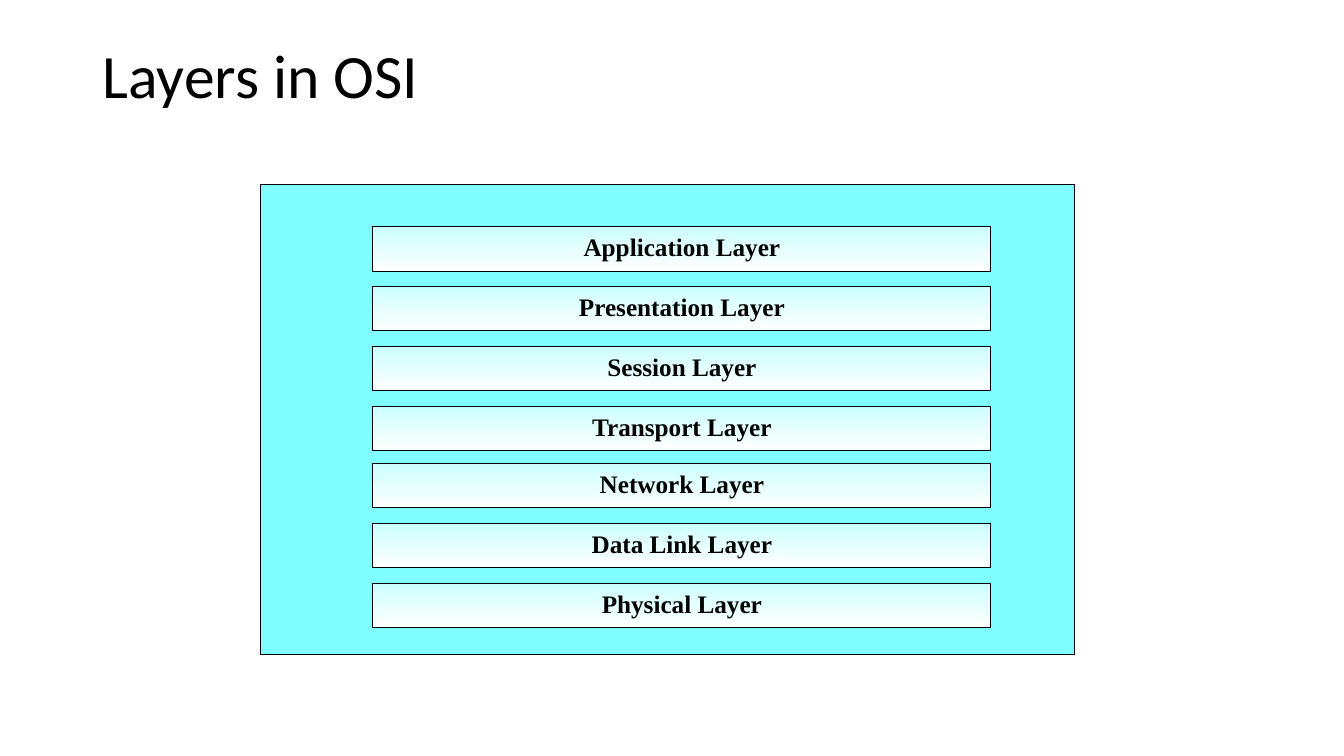
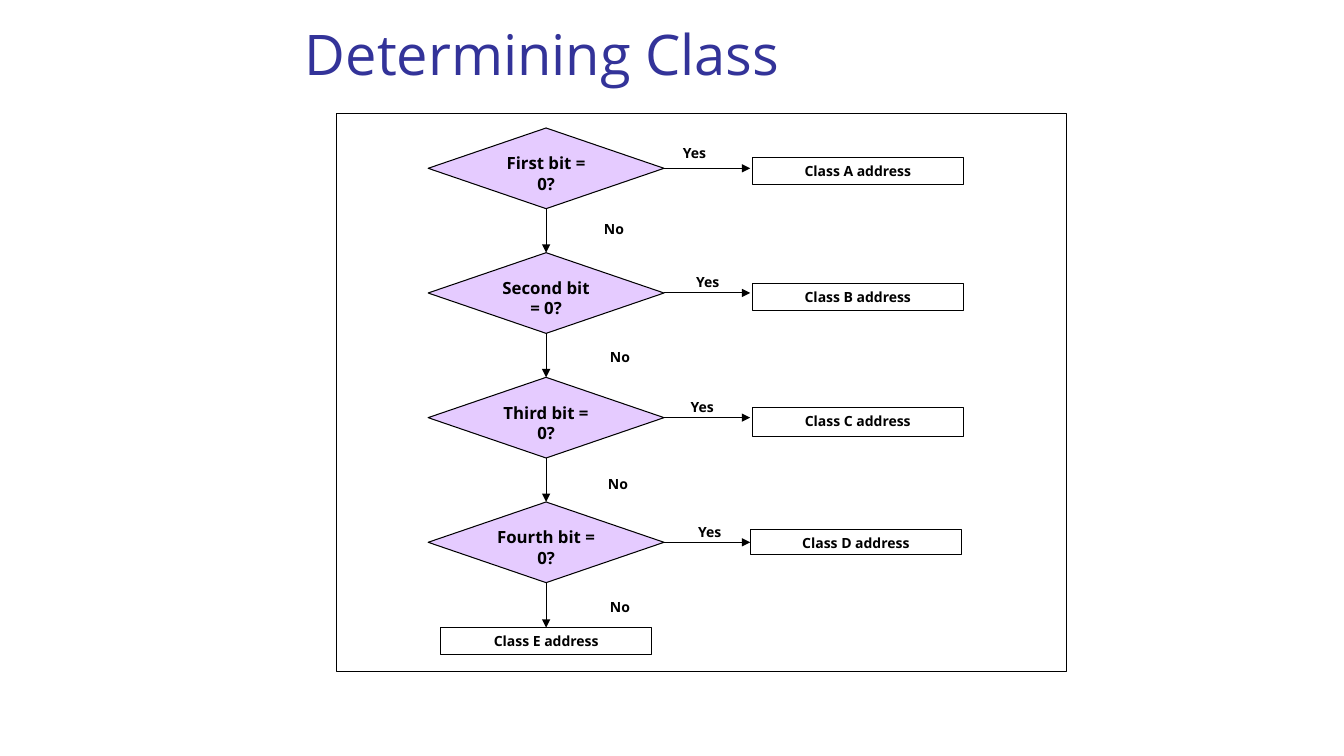
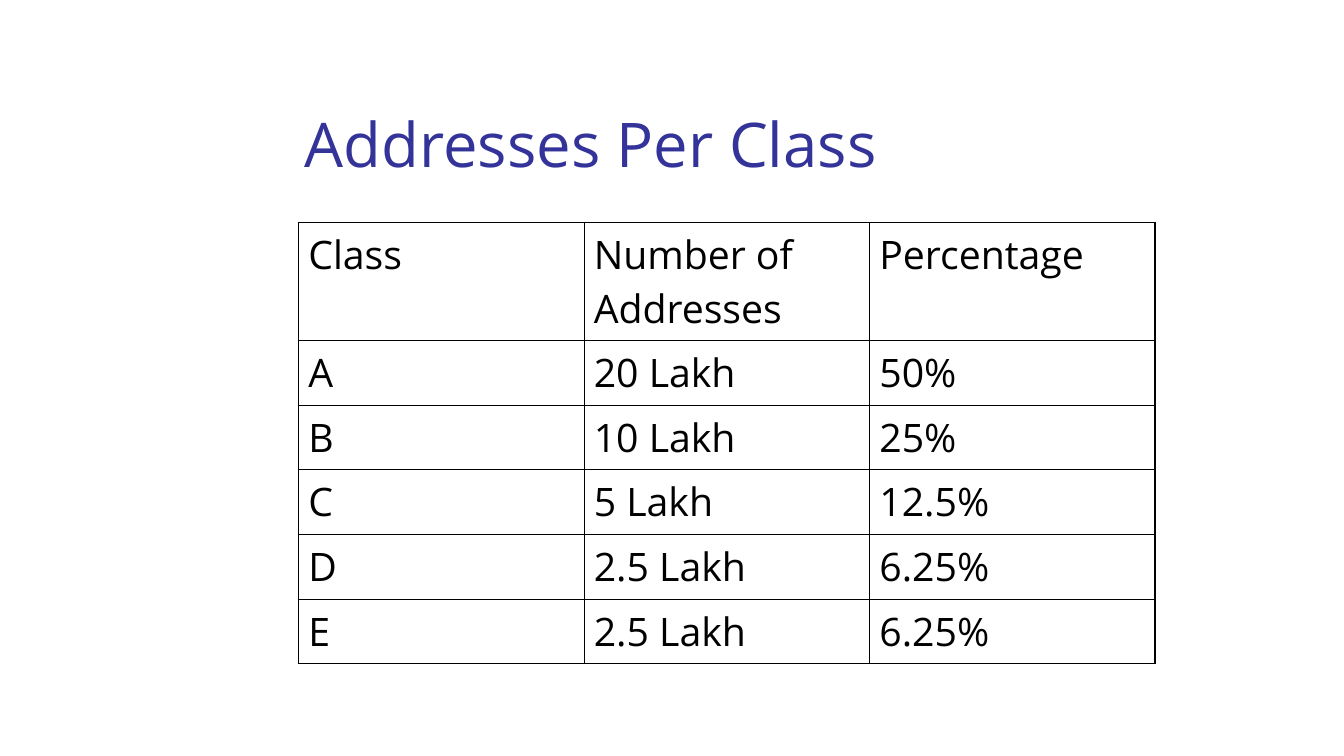
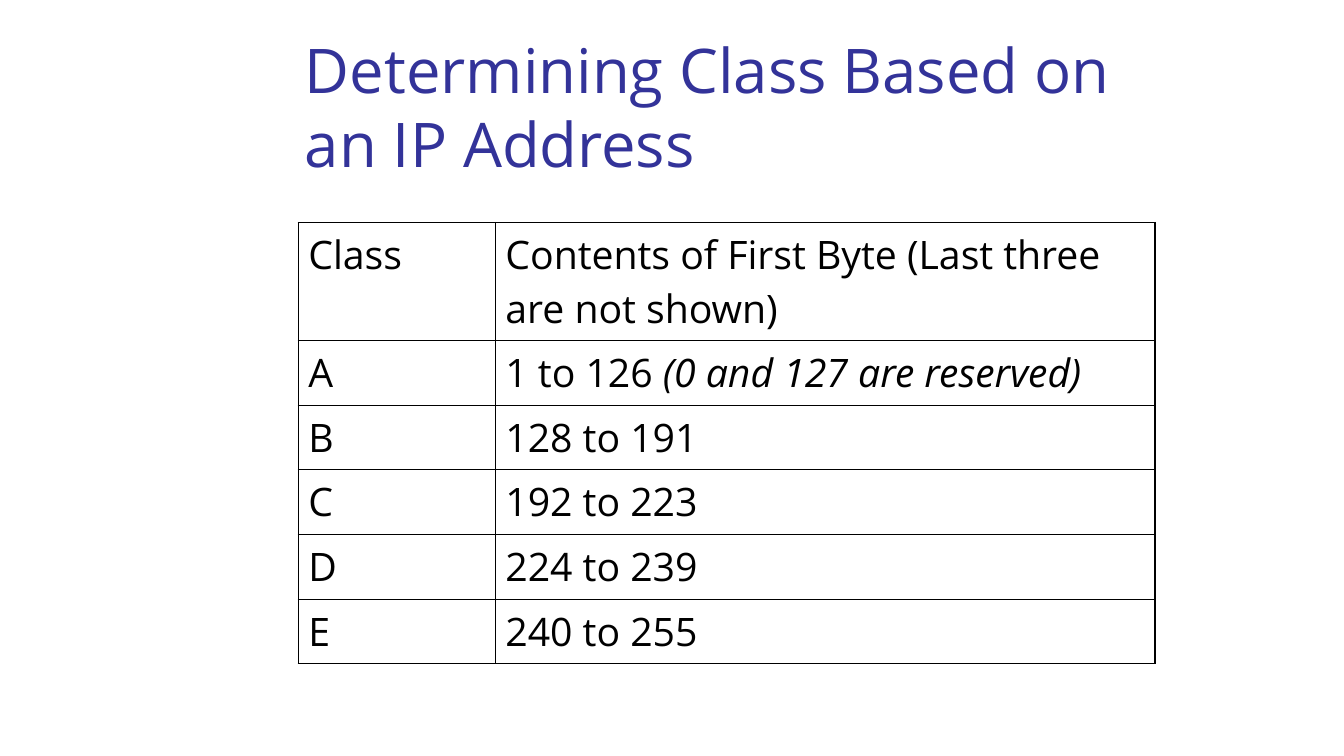
from lxml.etree import SubElement as Sub
from pptx import Presentation
from pptx.dml.color import RGBColor as RGB
from pptx.enum.shapes import MSO_CONNECTOR as CONN, MSO_SHAPE as SHAPE
from pptx.enum.text import MSO_ANCHOR as ANCHOR, PP_ALIGN as ALIGN
from pptx.oxml.ns import qn
from pptx.util import Inches, Pt

COLORS = {
    "black": "000000", "white": "FFFFFF", "title": "333399",
    "panel": "00FFFF", "bar": "CCFFFF", "decision": "CC99FF",
}
SANS = "Open Sans"

prs = Presentation()
prs.slide_width, prs.slide_height = Inches(13.33), Inches(7.5)
# Every position below is in percent of the slide's width or height
COL, ROW = prs.slide_width / 100, prs.slide_height / 100


def write(tf, text, size=10, font=SANS, color="black", bold=False,
          align=ALIGN.LEFT, anchor=ANCHOR.TOP, spacing=1.0, before=0):
    """Fill a text frame; in a pair of texts the second is italic."""
    tf.word_wrap = True
    tf.vertical_anchor = anchor
    p = tf.paragraphs[0]
    p.alignment, p.line_spacing, p.space_before = align, spacing, Pt(before)
    for i, part in enumerate([text] if isinstance(text, str) else text):
        r = p.add_run()
        r.text = part
        r.font.size, r.font.name = Pt(size), font
        r.font.bold, r.font.italic = bold, i == 1
        r.font.color.rgb = RGB.from_string(COLORS[color])


def add_box(s, x, y, w, h, kind=SHAPE.RECTANGLE, fill="white", alpha=None,
            outline=True):
    sp = s.shapes.add_shape(kind, *map(round, (x * COL, y * ROW, w * COL, h * ROW)))
    sp.shadow.inherit = False
    sp.fill.solid()
    sp.fill.fore_color.rgb = RGB.from_string(COLORS[fill])
    if alpha:
        clr = sp.fill._xPr.find(".//" + qn("a:srgbClr"))
        Sub(clr, qn("a:alpha"), val=str(alpha * 1000))
    if outline:
        sp.line.color.rgb = RGB.from_string(COLORS["black"])
        sp.line.width = Pt(0.75)
    else:
        sp.line.fill.background()
    return sp


# Slides and titles: text, box, format
SANS_TITLE = dict(size=44, color="title", anchor=ANCHOR.BOTTOM)
TITLES = [
    ("Layers in OSI", (6.9, 5.33, 86.25, 19.33),
     dict(size=44, font="Calibri", spacing=0.9)),
    ("Determining Class", (21.95, 3.07, 63.9, 9.07), SANS_TITLE | dict(size=40)),
    ("Addresses Per Class", (21.95, 3.07, 63.9, 21.33), SANS_TITLE),
    ("Determining Class Based on an IP Address", (21.95, 3.07, 63.9, 21.33), SANS_TITLE),
]
slides = []
for text, (x, y, w, h), fmt in TITLES:
    s = prs.slides.add_slide(prs.slide_layouts[6])
    sp = s.shapes.add_textbox(*map(round, (x * COL, y * ROW, w * COL, h * ROW)))
    write(sp.text_frame, text, **fmt)
    slides.append(s)
osi, flow, counts, ranges = slides

# OSI layer stack: the lower three layers sit slightly closer to the upper four
add_box(osi, 19.35, 24.4, 60.6, 62.13, fill="panel", alpha=50)
LAYERS = ["Application", "Presentation", "Session", "Transport", "Network",
          "Data Link", "Physical"]
for i, layer in enumerate(LAYERS):
    sp = add_box(osi, 27.75, 30 + 7.92 * i - (0.35 if i > 3 else 0), 45.98, 5.87)
    sp.fill.gradient()
    sp.fill.gradient_angle = 270
    for stop, name, pos in zip(sp.fill.gradient_stops, ("bar", "white"), (0, 1)):
        stop.color.rgb = RGB.from_string(COLORS[name])
        stop.position = pos
    write(sp.text_frame, f"{layer} Layer", size=18, font="Times New Roman",
          bold=True, align=ALIGN.CENTER)

# Flowchart: each test with its label and class boxes, placed from the test's top
LABEL = dict(bold=True, align=ALIGN.CENTER)
LEFT, TOP, WIDE, HIGH, PITCH = 31.86, 16.93, 17.55, 10.67, 16.49
CLASS_W, ARROW_END = 15.68, 55.82
# ordinal, class, Yes (x, dy), No (x, dy), class box (x, dy, height)
TESTS = [
    ("First", "A", (47.93, 1.47), (41.93, 11.6), (55.98, 3.87, 3.6)),
    ("Second", "B", (48.9, 2.05), (42.38, 12.05), (55.98, 4.04, 3.6)),
    ("Third", "C", (48.5, 2.08), (42.23, 12.35), (55.98, 3.95, 3.87)),
    ("Fourth", "D", (49.05, 2.25), (42.38, 12.13), (55.84, 3.6, 3.33)),
]
add_box(flow, 25.07, 15.07, 54.3, 73.8)
steps = []
for i, (ordinal, cls, yes, no, (x, dy, h)) in enumerate(TESTS):
    top = TOP + PITCH * i
    sp = add_box(flow, LEFT, top, WIDE, HIGH, SHAPE.FLOWCHART_DECISION, "decision", 50)
    write(sp.text_frame, f"{ordinal} bit = 0?", size=12, **LABEL)
    steps.append(sp)
    for text, (lx, ly) in (("Yes", yes), ("No", no)):
        sp = add_box(flow, lx, top + ly, 7.5, 2.4, outline=False)
        write(sp.text_frame, text, **LABEL)
    sp = add_box(flow, x, top + dy, CLASS_W, h)
    write(sp.text_frame, f"Class {cls} address", **LABEL)
sp = add_box(flow, LEFT + (WIDE - CLASS_W) / 2, 83.03, CLASS_W, 3.6)
write(sp.text_frame, "Class E address", **LABEL)
steps.append(sp)

# Arrows: "No" down to the next step, "Yes" right to the class
for step, following in zip(steps, steps[1:]):
    for site in (2, 3):
        y = step.top + step.height // 2
        c = flow.shapes.add_connector(CONN.STRAIGHT, 0, 0, round(ARROW_END * COL), y)
        c.begin_connect(step, site)
        if site == 2:
            c.end_connect(following, 0)
        c.line.color.rgb = RGB.from_string(COLORS["black"])
        c.line.width = Pt(0.75)
        Sub(c.line._get_or_add_ln(), qn("a:tailEnd"), type="triangle")
        Sub(c._element.spPr, qn("a:effectLst"))

# Tables: slide, column widths, header, one row per class
TABLES = [
    (counts, [21.25] * 3, ["Class", "Number of Addresses", "Percentage"],
     [["20 Lakh", "50%"], ["10 Lakh", "25%"], ["5 Lakh", "12.5%"],
      ["2.5 Lakh", "6.25%"], ["2.5 Lakh", "6.25%"]]),
    (ranges, [14.67, 49.08], ["Class", "Contents of First Byte (Last three are not shown)"],
     [[("1 to 126 ", "(0 and 127 are reserved)")], ["128 to 191"], ["192 to 223"],
      ["224 to 239"], ["240 to 255"]]),
]
HEAD_H, BODY_H = 15.6, 8.55
for s, widths, header, body in TABLES:
    rows = [header] + [[cls, *values] for cls, values in zip("ABCDE", body)]
    last_row, last_col = len(rows) - 1, len(widths) - 1
    tbl = s.shapes.add_table(len(rows), len(widths), *map(round, (
        22.19 * COL, 29.43 * ROW, sum(widths) * COL,
        (HEAD_H + BODY_H * last_row) * ROW))).table
    tbl.first_row = tbl.horz_banding = False
    for col, w in zip(tbl.columns, widths):
        col.width = round(w * COL)
    for i, texts in enumerate(rows):
        tbl.rows[i].height = round((BODY_H if i else HEAD_H) * ROW)
        for j, text in enumerate(texts):
            cell = tbl.cell(i, j)
            write(cell.text_frame, text, size=28, spacing=1.01, before=7)
            # Thick lines outside, thin lines inside
            pr = cell._tc.get_or_add_tcPr()
            outer = {"lnL": j == 0, "lnR": j == last_col,
                     "lnT": i == 0, "lnB": i == last_row}
            for tag, thick in outer.items():
                ln = Sub(pr, qn(f"a:{tag}"), w=str(Pt(1.08 if thick else 0.45)))
                Sub(Sub(ln, qn("a:solidFill")), qn("a:srgbClr"), val=COLORS["black"])
            cell.fill.background()

prs.save("out.pptx")
